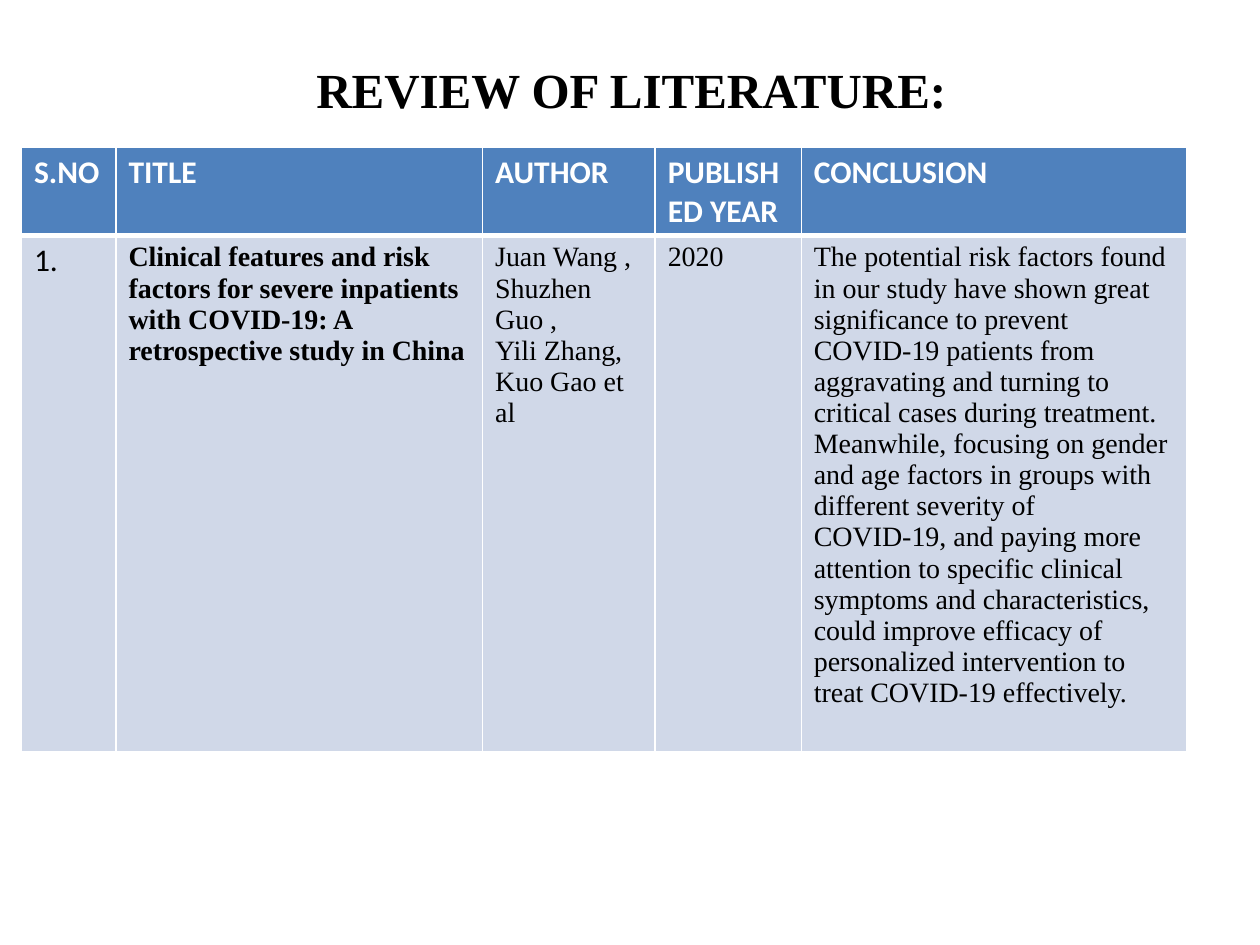
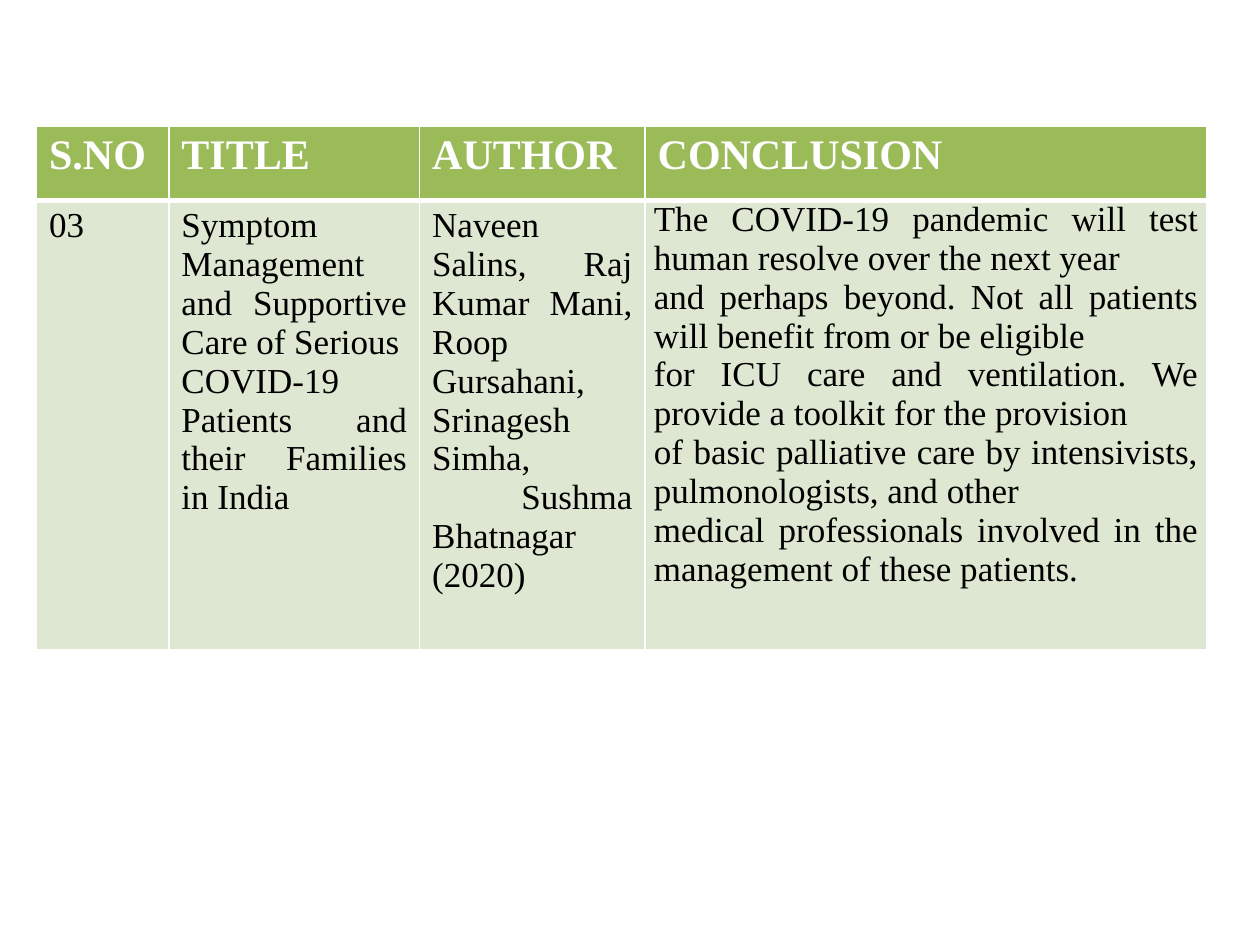
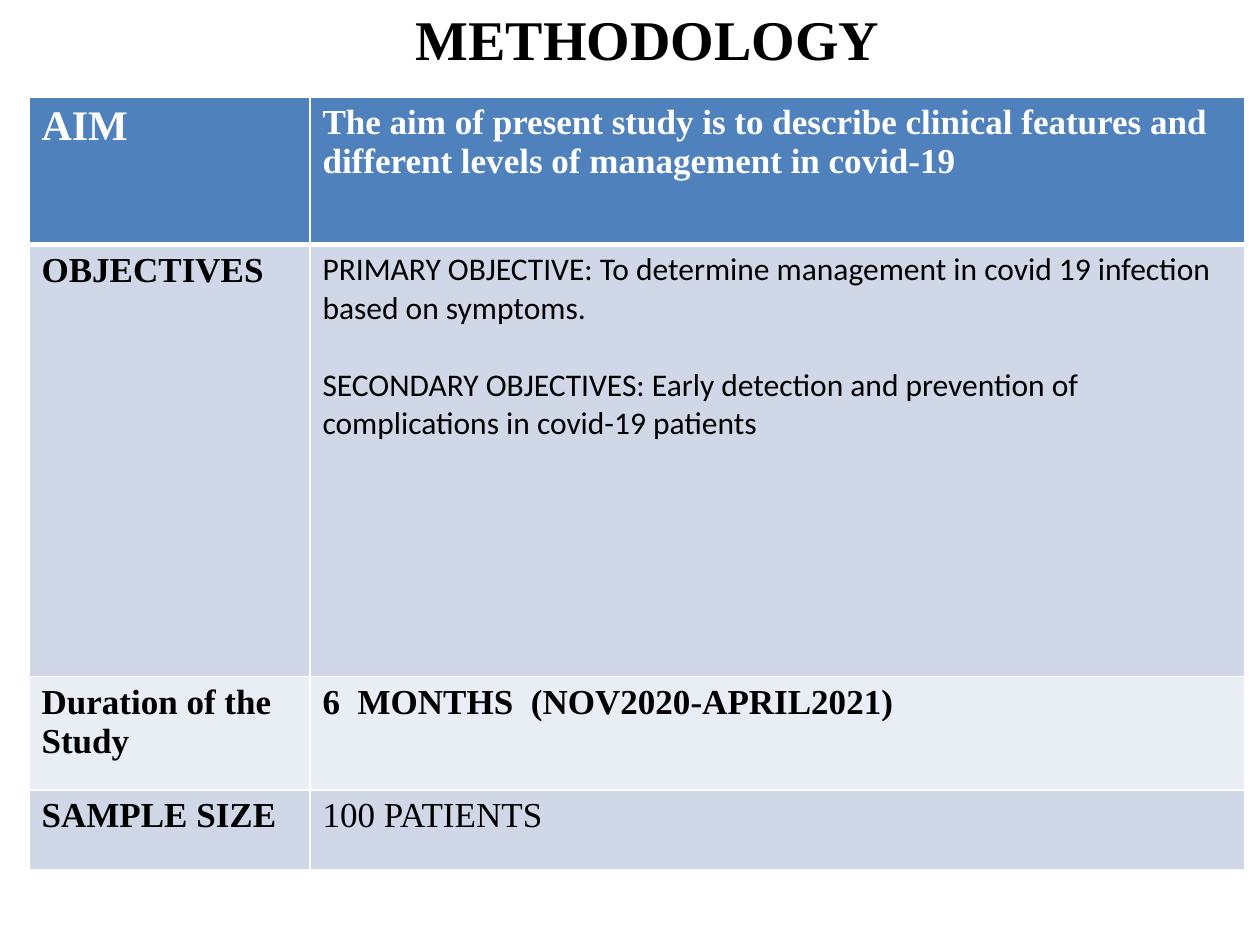
from lxml.etree import SubElement
from pptx import Presentation
from pptx.dml.color import RGBColor
from pptx.enum.text import PP_ALIGN
from pptx.oxml.ns import qn
from pptx.util import Inches, Pt

COLORS = {
    "white": "FFFFFF",
    "black": "000000",
    "blue": "4F81BD",
    "blue_band": "D0D8E8",
    "blue_pale": "E9EDF4",
    "green": "9BBB59",
    "green_band": "DEE7D1",
}
SERIF = "Times New Roman"
SANS = "Calibri"


def style_para(para, size, font=SERIF, bold=False, color="black", align=PP_ALIGN.LEFT):
    para.alignment = align
    for span in para.runs:
        span.font.size = Pt(size)
        span.font.name = font
        span.font.bold = bold
        span.font.color.rgb = RGBColor.from_string(COLORS[color])


def add_title(page, box, text, size):
    left, top, width, height = box
    title = page.shapes.add_textbox(Inches(left), Inches(top), Inches(width), Inches(height))
    title.text_frame.word_wrap = True
    title.text_frame.text = text
    style_para(title.text_frame.paragraphs[0], size, bold=True, align=PP_ALIGN.CENTER)


def set_borders(cell, widths):
    """Draw white cell edges, with widths in points for left, right, top, bottom."""
    properties = cell._tc.get_or_add_tcPr()
    for position, (edge, width) in enumerate(zip(("lnL", "lnR", "lnT", "lnB"), widths)):
        line = SubElement(properties, qn(f"a:{edge}"), w=str(Pt(width)))
        fill = SubElement(line, qn("a:solidFill"))
        SubElement(fill, qn("a:srgbClr"), val=COLORS["white"])
        properties.remove(line)
        properties.insert(position, line)


def add_grid(page, corner, columns, heights, rows, fills, align=PP_ALIGN.LEFT):
    """Each cell is a pair: its text and its text style."""
    left, top = corner
    frame = page.shapes.add_table(
        len(heights), len(columns), Inches(left), Inches(top),
        Inches(sum(columns)), Inches(sum(heights)))
    table = frame.table
    for column, width in zip(table.columns, columns):
        column.width = Inches(width)
    for index, (row, height) in enumerate(zip(table.rows, heights)):
        row.height = Inches(height)
        for cell, (text, style) in zip(row.cells, rows[index]):
            cell.text_frame.text = text
            for para in cell.text_frame.paragraphs:
                style_para(para, align=align, **style)
            cell.fill.solid()
            cell.fill.fore_color.rgb = RGBColor.from_string(COLORS[fills[index]])
            # The rule under the header is heavier than the others
            set_borders(cell, (1, 1, 3 if index == 1 else 1, 3 if index == 0 else 1))
    return table


def same_style(texts, **style):
    return [(text, style) for text in texts]


def review_slide(page):
    add_title(page, (0.51, 0.42, 9, 1.06), "REVIEW OF LITERATURE:", 28)
    header = same_style(
        ("S.NO", "TITLE", "AUTHOR", "PUBLISHED YEAR", "CONCLUSION"),
        size=18, font=SANS, bold=True, color="white")
    plain = {"size": 16}
    study = [
        ("1.", {"size": 18, "font": SANS}),
        ("Clinical features and risk factors for severe inpatients with COVID-19: "
         "A retrospective study in China", {"size": 16, "bold": True}),
        ("Juan Wang ,\nShuzhen Guo ,\nYili Zhang,\nKuo Gao et al", plain),
        ("2020", plain),
        ("The potential risk factors found in our study have shown great significance "
         "to prevent COVID-19 patients from aggravating and turning to critical cases "
         "during treatment. Meanwhile, focusing on gender and age factors in groups with "
         "different severity of COVID-19, and paying more attention to specific clinical "
         "symptoms and characteristics, could improve efficacy of personalized "
         "intervention to treat COVID-19 effectively.", plain),
    ]
    add_grid(page, (0.17, 1.17), (0.75, 2.91, 1.37, 1.16, 3.06), (0.65, 3.25),
             (header, study), ("blue", "blue_band"))


def review_continued_slide(page):
    header = same_style(("S.NO", "TITLE", "AUTHOR", "CONCLUSION"),
                        size=24, bold=True, color="white")
    study = same_style((
        "03",
        "Symptom Management and Supportive Care of Serious\n"
        "COVID-19 Patients and their Families in India",
        "Naveen Salins, Raj Kumar Mani, Roop Gursahani, Srinagesh Simha,\n"
        " Sushma Bhatnagar\n(2020)",
        "The COVID-19 pandemic will test human resolve over the next year\n"
        "and perhaps beyond. Not all patients will benefit from or be eligible\n"
        "for ICU care and ventilation. We provide a toolkit for the provision\n"
        "of basic palliative care by intensivists, pulmonologists, and other\n"
        "medical professionals involved in the management of these patients.",
    ), size=20)
    table = add_grid(page, (0.29, 1), (1.05, 1.99, 1.79, 4.46), (0.59, 3.57),
                     (header, study), ("green", "green_band"), PP_ALIGN.JUSTIFY)
    conclusion = table.cell(1, 3)
    conclusion.margin_left = conclusion.margin_right = Inches(0.07)
    conclusion.margin_top = conclusion.margin_bottom = 0


def methodology_slide(page):
    label = {"size": 20, "bold": True}
    rows = (
        [("AIM", {"size": 24, "bold": True, "color": "white"}),
         ("The aim of present study is to describe clinical features and different "
          "levels of management in covid-19", {**label, "color": "white"})],
        [("OBJECTIVES", label),
         ("PRIMARY OBJECTIVE: To determine management in covid 19 infection based on "
          "symptoms.\nSECONDARY OBJECTIVES: Early detection and prevention of "
          "complications in covid-19 patients", {"size": 18, "font": SANS})],
        [("Duration of the\nStudy", label), ("6  MONTHS  (NOV2020-APRIL2021)", label)],
        [("SAMPLE SIZE", label), ("100 PATIENTS", {"size": 20})],
    )
    table = add_grid(page, (0.23, 0.77), (2.23, 7.42), (1.17, 3.43, 0.9, 0.63),
                     rows, ("blue", "blue_band", "blue_pale", "blue_band"))
    # One line of space between the two objectives
    table.cell(1, 1).text_frame.paragraphs[1].space_before = Pt(22)
    add_title(page, (2.48, -0.01, 5.32, 0.64), "METHODOLOGY", 32)


def main():
    deck = Presentation()
    deck.slide_width, deck.slide_height = Inches(10), Inches(7.5)
    for build in (review_slide, review_continued_slide, methodology_slide):
        build(deck.slides.add_slide(deck.slide_layouts[6]))
    deck.save("out.pptx")


if __name__ == "__main__":
    main()
